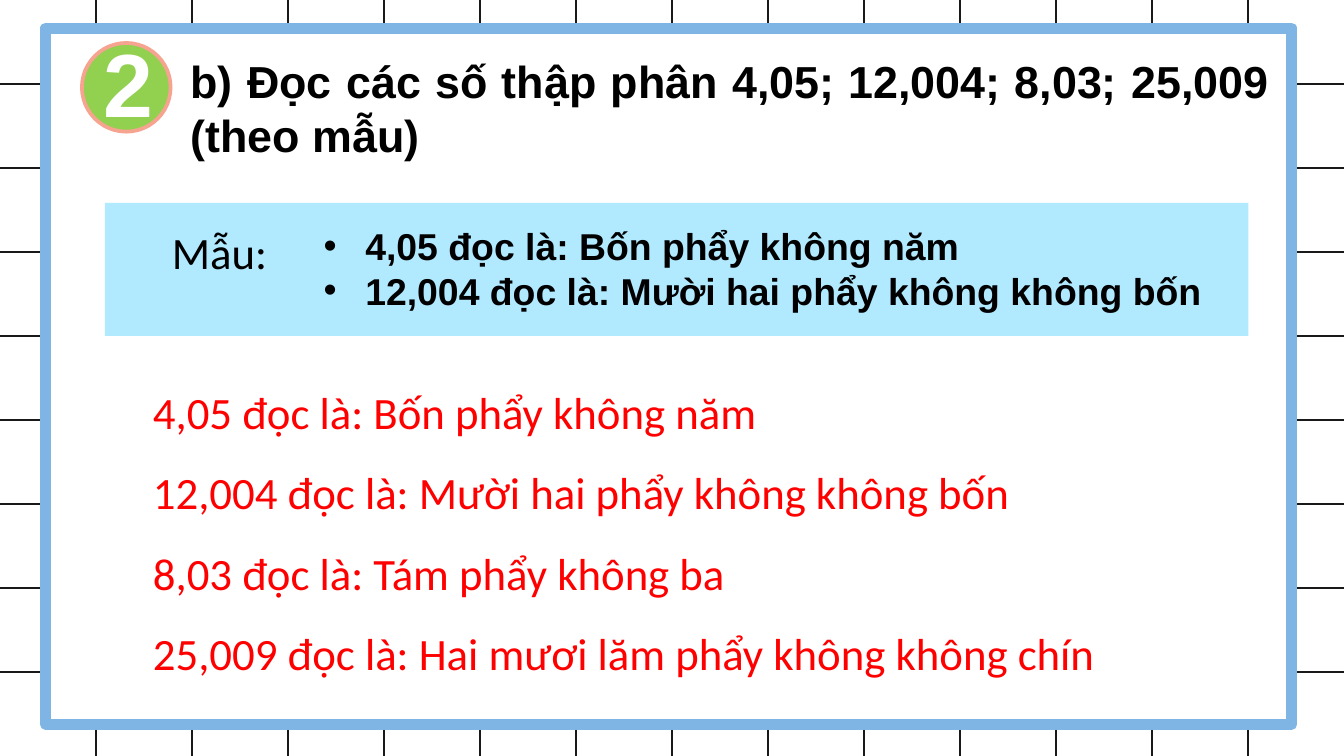
from dataclasses import dataclass

from lxml import etree
from pptx import Presentation
from pptx.dml.color import RGBColor
from pptx.enum.shapes import MSO_CONNECTOR, MSO_SHAPE
from pptx.enum.text import PP_ALIGN
from pptx.oxml.ns import qn
from pptx.util import Inches, Pt

RECT, OVAL = MSO_SHAPE.RECTANGLE, MSO_SHAPE.OVAL
LINE = MSO_CONNECTOR.STRAIGHT
LEFT, JUSTIFY = PP_ALIGN.LEFT, PP_ALIGN.JUSTIFY


@dataclass(frozen=True)
class Theme:
    white: str = "FFFFFF"
    black: str = "000000"
    red: str = "FF0000"
    grid: str = "191919"
    frame: str = "7FB5E5"
    green: str = "92D050"
    coral: str = "F6A390"
    panel: str = "B1E9FF"
    heading: str = "Arial"
    body: str = "Calibri"
    badge_size: int = 48
    text_size: int = 24
    sample_size: int = 20


T = Theme()
WIDTH, HEIGHT = 10, 10 * 9 / 16
COLS, ROWS = 14, 9
INDENT = 0.31

NUMBER = "2"
TITLE = "b) Đọc các số thập phân 4,05; 12,004; 8,03; 25,009 (theo mẫu)"
SAMPLE_LABEL = "Mẫu:"
ANSWERS = [
    "4,05 đọc là: Bốn phẩy không năm",
    "12,004 đọc là: Mười hai phẩy không không bốn",
    "8,03 đọc là: Tám phẩy không ba",
    "25,009 đọc là: Hai mươi lăm phẩy không không chín",
]
SAMPLES = ANSWERS[:2]

# Percent of slide width and height: left, top, width, height
AREAS = {
    "frame": (3.4, 3.73, 92.7, 92.09),
    "badge": (6.1, 5.69, 6.6, 11.73),
    "number": (6.7, 2.84, 3.3, 16.18),
    "title": (13.2, 6.22, 82.2, 16.18),
    "panel": (7.8, 26.84, 85.1, 17.6),
    "label": (11.8, 28.8, 20.9, 8.89),
    "samples": (23.1, 28.62, 67.8, 13.69),
    "answers": (10.4, 46.4, 81.4, 43.73),
}


def rgb(color):
    return RGBColor.from_string(color)


def area(name):
    sides = (WIDTH, HEIGHT, WIDTH, HEIGHT)
    return [Inches(side * pct / 100) for side, pct in zip(sides, AREAS[name])]


def add_grid_line(slide, x1, y1, x2, y2):
    line = slide.shapes.add_connector(LINE, *map(Inches, (x1, y1, x2, y2)))
    line.line.color.rgb = rgb(T.grid)
    line.line.width = Pt(1.5)
    etree.SubElement(line._element.spPr, qn("a:effectLst"))


def add_block(slide, name, kind, fill, outline=None, width=0):
    sp = slide.shapes.add_shape(kind, *area(name))
    sp.shadow.inherit = False
    sp.fill.solid()
    sp.fill.fore_color.rgb = rgb(fill)
    if outline:
        sp.line.color.rgb = rgb(outline)
        sp.line.width = Pt(width)
    else:
        sp.line.fill.background()


def add_bullet(p, color):
    pPr = p._p.get_or_add_pPr()
    pPr.set("marL", str(Inches(INDENT)))
    pPr.set("indent", str(-Inches(INDENT)))
    bu_clr = etree.SubElement(pPr, qn("a:buClr"))
    etree.SubElement(bu_clr, qn("a:srgbClr"), val=color)
    etree.SubElement(pPr, qn("a:buFont"), typeface=T.heading)
    etree.SubElement(pPr, qn("a:buChar"), char="•")


def add_text(slide, name, lines, size, font, color, bold=False,
             align=LEFT, spacing=None, bullet=False):
    tf = slide.shapes.add_textbox(*area(name)).text_frame
    tf.word_wrap = True
    for i, text in enumerate(lines):
        p = tf.add_paragraph() if i else tf.paragraphs[0]
        p.alignment = align
        if spacing:
            p.line_spacing = spacing
        if bullet:
            add_bullet(p, color)
        r = p.add_run()
        r.text = text
        r.font.size = Pt(size)
        r.font.name = font
        r.font.bold = bold
        r.font.color.rgb = rgb(color)


def main():
    prs = Presentation()
    prs.slide_width, prs.slide_height = Inches(WIDTH), Inches(HEIGHT)
    slide = prs.slides.add_slide(prs.slide_layouts[6])
    slide.background.fill.solid()
    slide.background.fill.fore_color.rgb = rgb(T.white)

    for col in range(1, COLS):
        x = WIDTH * col / COLS
        add_grid_line(slide, x, 0, x, HEIGHT)
    for row in range(1, ROWS):
        y = HEIGHT * row / ROWS
        add_grid_line(slide, 0, y, WIDTH, y)

    add_block(slide, "frame", RECT, T.white, T.frame, 6)
    add_block(slide, "badge", OVAL, T.green, T.coral, 2)
    add_text(slide, "number", [NUMBER], T.badge_size, T.heading, T.white, bold=True)
    add_text(slide, "title", [TITLE], T.text_size, T.heading, T.black,
             bold=True, align=JUSTIFY)
    add_block(slide, "panel", RECT, T.panel)
    add_text(slide, "label", [SAMPLE_LABEL], T.text_size, T.body, T.black)
    add_text(slide, "samples", SAMPLES, T.sample_size, T.heading, T.black,
             bold=True, bullet=True)
    add_text(slide, "answers", ANSWERS, T.text_size, T.body, T.red,
             align=JUSTIFY, spacing=1.5)

    prs.save("out.pptx")


if __name__ == "__main__":
    main()
